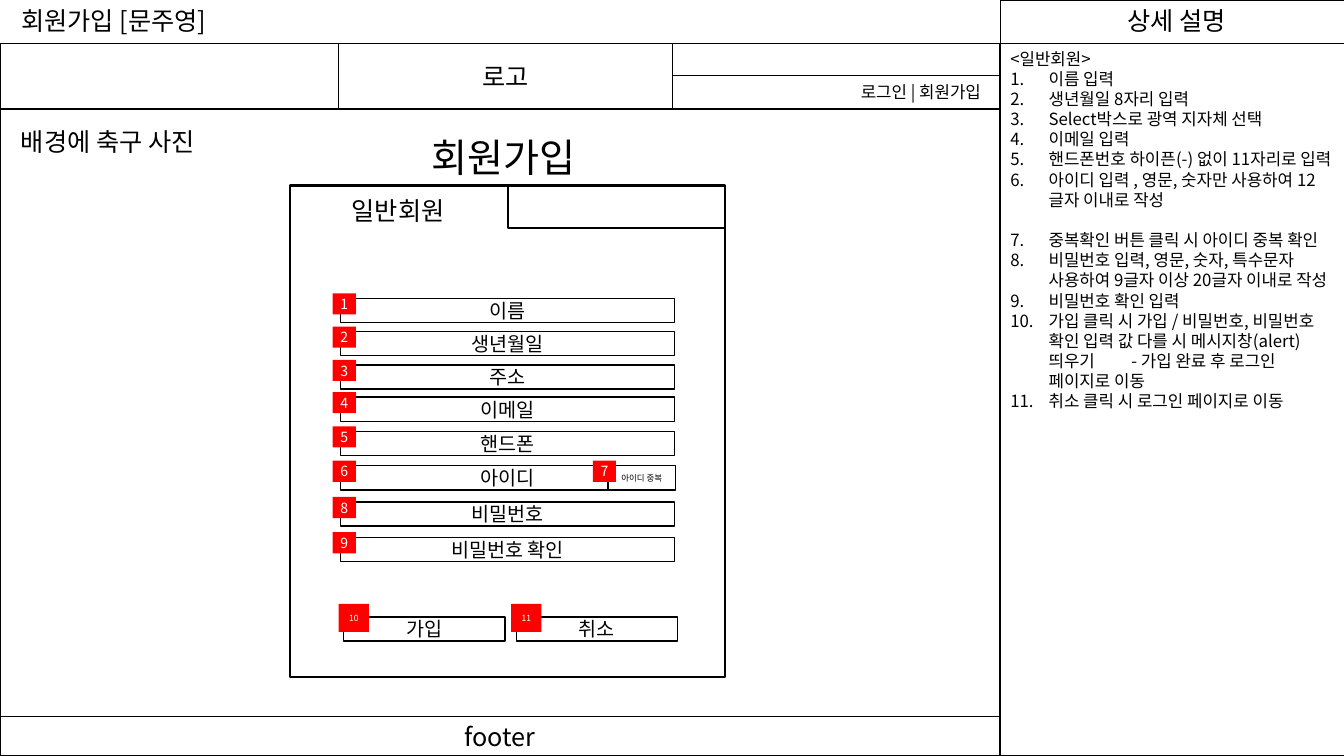
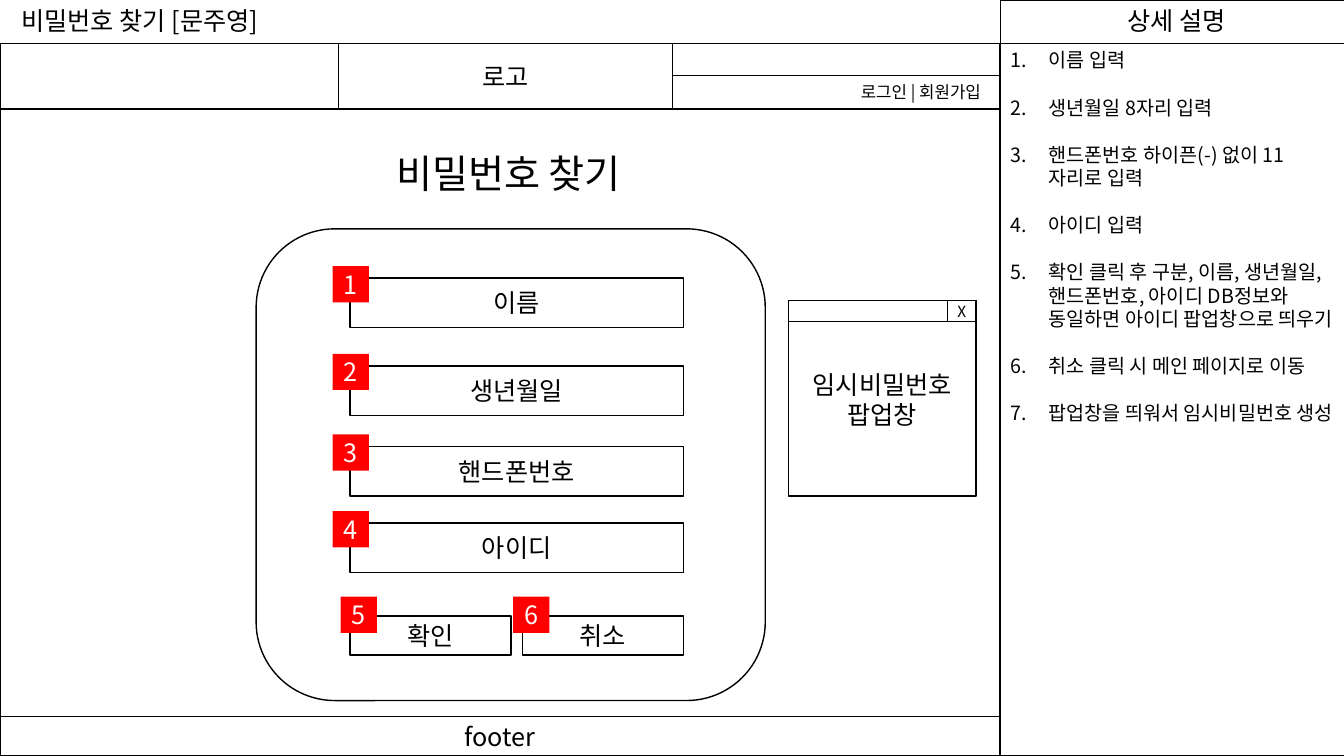
"""Build two annotated wireframe slides: sign-up and password recovery."""
from dataclasses import dataclass

from lxml.etree import SubElement
from pptx import Presentation
from pptx.dml.color import RGBColor
from pptx.enum.shapes import MSO_SHAPE
from pptx.enum.text import MSO_ANCHOR, MSO_AUTO_SIZE, PP_ALIGN
from pptx.oxml.ns import qn
from pptx.presentation import Presentation as Deck
from pptx.shapes.autoshape import Shape
from pptx.slide import Slide, SlideLayout
from pptx.util import Inches, Pt


@dataclass(frozen=True)
class Theme:
    """Colours, font and type sizes of the deck."""

    ink: RGBColor = RGBColor(0x00, 0x00, 0x00)
    paper: RGBColor = RGBColor(0xFF, 0xFF, 0xFF)
    badge: RGBColor = RGBColor(0xFF, 0x00, 0x00)
    font: str = "Noto Sans CJK KR"
    display: int = 28
    heading: int = 18
    field: int = 14
    note: int = 12
    close: int = 11
    badge_text: int = 10
    tiny: int = 6
    leading: float = 1.2


THEME = Theme()


@dataclass(frozen=True)
class Area:
    """A rectangle in inches."""

    left: float
    top: float
    width: float
    height: float


@dataclass(frozen=True)
class Control:
    """A labelled form control and its numbered badge."""

    label: str
    area: Area
    size: int
    number: str
    badge: Area
    badge_size: int


@dataclass(frozen=True)
class Note:
    """A line of the description list."""

    text: str
    numbered: bool = True
    gap_after: float = 0


PANEL = Area(9.92, 0.43, 3.42, 7.07)
FORM_WIDTH = 3.31
BUTTON_WIDTH = 1.6
BUTTON_STEP = 1.71

SIGN_UP_NOTES = [
    Note("<일반회원>", numbered=False),
    Note("이름 입력"),
    Note("생년월일 8자리 입력"),
    Note("Select박스로 광역 지자체 선택"),
    Note("이메일 입력"),
    Note("핸드폰번호 하이픈(-) 없이 11자리로 입력"),
    Note("아이디 입력 , 영문, 숫자만 사용하여 12글자 이내로 작성", gap_after=14.4),
    Note("중복확인 버튼 클릭 시 아이디 중복 확인"),
    Note("비밀번호 입력, 영문, 숫자, 특수문자 사용하여 9글자 이상 20글자 이내로 작성"),
    Note("비밀번호 확인 입력"),
    Note("가입 클릭 시 가입 / 비밀번호, 비밀번호 확인 입력 값 다를 시 메시지창(alert) "
         "띄우기\t- 가입 완료 후 로그인 페이지로 이동"),
    Note("취소 클릭 시 로그인 페이지로 이동"),
]
RECOVERY_NOTES = [
    Note(text, gap_after=16.8)
    for text in (
        "이름 입력",
        "생년월일 8자리 입력",
        "핸드폰번호 하이픈(-) 없이 11자리로 입력",
        "아이디 입력",
        "확인 클릭 후 구분, 이름, 생년월일, 핸드폰번호, 아이디 DB정보와 동일하면 아이디 팝업창으로 띄우기",
        "취소 클릭 시 메인 페이지로 이동",
        "팝업창을 띄워서 임시비밀번호 생성",
    )
]
SIGN_UP_FIELDS = [
    ("1", "이름", 2.96),
    ("2", "생년월일", 3.29),
    ("3", "주소", 3.62),
    ("4", "이메일", 3.94),
    ("5", "핸드폰", 4.28),
    ("6", "아이디", 4.62),
    ("8", "비밀번호", 4.98),
    ("9", "비밀번호 확인", 5.33),
]
RECOVERY_FIELDS = [
    ("1", "이름", 2.76),
    ("2", "생년월일", 3.63),
    ("3", "핸드폰번호", 4.43),
    ("4", "아이디", 5.19),
]


def place(shape: Shape, area: Area) -> None:
    """Move and size a shape."""
    shape.left, shape.top = Inches(area.left), Inches(area.top)
    shape.width, shape.height = Inches(area.width), Inches(area.height)


def write(shape: Shape, text: str, size: int, color: RGBColor = THEME.ink,
          align: PP_ALIGN = PP_ALIGN.LEFT) -> None:
    """Set the text of a shape and format its runs for Latin and Korean."""
    shape.text_frame.text = text
    for para in shape.text_frame.paragraphs:
        para.alignment = align
        for span in para.runs:
            span.font.size = Pt(size)
            span.font.color.rgb = color
            span.font.name = THEME.font
    for properties in shape.element.iter(qn("a:rPr")):
        SubElement(properties, qn("a:ea")).set("typeface", THEME.font)


def outline(shape: Shape, weight: float = 1) -> None:
    """Give a shape a white fill and a black line."""
    shape.shadow.inherit = False
    shape.fill.solid()
    shape.fill.fore_color.rgb = THEME.paper
    shape.line.color.rgb = THEME.ink
    shape.line.width = Pt(weight)


def add_box(page: Slide, area: Area, text: str = "", size: int = THEME.heading,
            weight: float = 1, align: PP_ALIGN = PP_ALIGN.CENTER,
            kind: MSO_SHAPE = MSO_SHAPE.RECTANGLE, inset: float = 0,
            color: RGBColor = THEME.ink) -> Shape:
    """Add an outlined box with optional text."""
    box = page.shapes.add_shape(kind, 0, 0, 0, 0)
    place(box, area)
    outline(box, weight)
    frame = box.text_frame
    frame.word_wrap = True
    frame.vertical_anchor = MSO_ANCHOR.MIDDLE
    frame.margin_left = frame.margin_right = Inches(inset)
    if text:
        write(box, text, size, color, align)
    return box


def add_label(page: Slide, area: Area, text: str, size: int = THEME.heading) -> Shape:
    """Add a single-line text box."""
    label = page.shapes.add_textbox(0, 0, 0, 0)
    place(label, area)
    label.text_frame.word_wrap = False
    write(label, text, size)
    return label


def add_badge(page: Slide, area: Area, number: str, size: int) -> None:
    """Add a red numbered badge."""
    badge = add_box(page, area, number, size, color=THEME.paper)
    badge.fill.fore_color.rgb = THEME.badge
    badge.line.fill.background()


def add_controls(page: Slide, controls: list[Control]) -> None:
    """Draw form controls first and their badges above them."""
    for control in controls:
        add_box(page, control.area, control.label, control.size)
    for control in controls:
        add_badge(page, control.badge, control.number, control.badge_size)


def fill_title(page: Slide, text: str, width: float) -> None:
    """Place the page name in the title placeholder."""
    title = page.shapes.title
    place(title, Area(0.11, 0, width, 0.4))
    title.text_frame.word_wrap = False
    title.text_frame.auto_size = MSO_AUTO_SIZE.NONE
    title.text_frame.vertical_anchor = MSO_ANCHOR.TOP
    write(title, text, THEME.heading)


def fill_notes(page: Slide, notes: list[Note], size: int, height: float) -> None:
    """Place the numbered description in the body placeholder."""
    body = page.placeholders[1]
    place(body, Area(PANEL.left, PANEL.top, 3.41, height))
    body.text_frame.word_wrap = True
    body.text_frame.auto_size = MSO_AUTO_SIZE.NONE
    write(body, "\n".join(note.text for note in notes), size)
    elements = body.element.iter(qn("a:p"))
    for note, para, element in zip(notes, body.text_frame.paragraphs, elements):
        para.line_spacing = Pt(size * THEME.leading)
        para.space_before = Pt(0)
        para.space_after = Pt(note.gap_after)
        properties = element.get_or_add_pPr()
        hanging = Inches(0.38) if note.numbered else 0
        properties.set("marL", str(hanging))
        properties.set("indent", str(-hanging))
        if note.numbered:
            SubElement(properties, qn("a:buFont")).set("typeface", "+mj-lt")
            SubElement(properties, qn("a:buAutoNum")).set("type", "arabicPeriod")
        else:
            SubElement(properties, qn("a:buNone"))
        if "\t" in note.text:
            stop = SubElement(SubElement(properties, qn("a:tabLst")), qn("a:tab"))
            stop.set("pos", str(Inches(1.2)))
            stop.set("algn", "l")


def share_panel(page: Slide, layout: SlideLayout) -> None:
    """Put the description panel on the layout used by every page."""
    for placeholder in list(layout.placeholders):
        if placeholder.placeholder_format.idx >= 10:
            layout.shapes.element.remove(placeholder.element)
    parts = [
        add_box(page, PANEL),
        add_box(page, Area(PANEL.left, 0, PANEL.width, PANEL.top)),
        add_label(page, Area(11.08, 0, 1.3, 0.4), "상세 설명"),
    ]
    for part in parts:
        layout.shapes.element.append(part.element)


def add_site_frame(page: Slide) -> None:
    """Draw the site header, content area and footer."""
    add_box(page, Area(0, 0.43, PANEL.left, 0.65))
    add_box(page, Area(3.36, 0.43, FORM_WIDTH, 0.65), "로고")
    add_box(page, Area(6.67, 0.75, 3.25, 0.33), "로그인 | 회원가입", THEME.note,
            align=PP_ALIGN.RIGHT, inset=0.19)
    add_box(page, Area(0, 7.11, PANEL.left, 0.39), "footer")
    add_box(page, Area(0, 1.08, PANEL.left, 6.03))


def draw_sign_up(page: Slide) -> None:
    """Draw the sign-up form."""
    add_label(page, Area(4.18, 1.27, 1.77, 0.57), "회원가입", THEME.display)
    add_label(page, Area(0.11, 1.2, 2.15, 0.4), "배경에 축구 사진")
    corners = [(2.88, 1.84), (5.07, 1.84), (5.07, 2.25),
               (7.19, 2.25), (7.19, 6.72), (2.88, 6.72)]
    points = [(Inches(x), Inches(y)) for x, y in corners]
    builder = page.shapes.build_freeform(*points[0], scale=1.0)
    builder.add_line_segments(points[1:], close=True)
    outline(builder.convert_to_shape(), 1.5)
    add_box(page, Area(5.04, 1.84, 2.15, 0.42), weight=1.5)
    add_label(page, Area(3.39, 1.89, 1.21, 0.4), "일반회원")
    controls = [
        Control(label, Area(3.38, top, FORM_WIDTH, 0.24), THEME.field,
                number, Area(3.3, top - 0.05, 0.23, 0.21), THEME.badge_text)
        for number, label, top in SIGN_UP_FIELDS
    ]
    controls.append(Control("아이디 중복", Area(6.03, 4.62, 0.67, 0.24), THEME.tiny,
                            "7", Area(5.88, 4.57, 0.23, 0.21), THEME.badge_text))
    for index, (number, label) in enumerate((("10", "가입"), ("11", "취소"))):
        left = 3.41 + index * BUTTON_STEP
        controls.append(Control(label, Area(left, 6.12, BUTTON_WIDTH, 0.24), THEME.field,
                                number, Area(left - 0.05, 5.99, 0.3, 0.28), THEME.tiny))
    add_controls(page, controls)


def draw_recovery(page: Slide) -> None:
    """Draw the password recovery form and its popup."""
    add_box(page, Area(2.54, 2.27, 5.05, 4.68), kind=MSO_SHAPE.ROUNDED_RECTANGLE)
    add_label(page, Area(3.83, 1.43, 2.7, 0.57), "비밀번호 찾기", THEME.display)
    controls = [
        Control(label, Area(3.47, top, FORM_WIDTH, 0.49), THEME.heading,
                number, Area(3.3, top - 0.12, 0.36, 0.36), THEME.heading)
        for number, label, top in RECOVERY_FIELDS
    ]
    for index, (number, label) in enumerate((("5", "확인"), ("6", "취소"))):
        left = 3.47 + index * BUTTON_STEP
        controls.append(Control(label, Area(left, 6.11, BUTTON_WIDTH, 0.39), THEME.heading,
                                number, Area(left - 0.09, 5.92, 0.36, 0.36), THEME.heading))
    add_controls(page, controls)
    add_box(page, Area(7.82, 3, 1.86, 1.92), "임시비밀번호\n팝업창")
    add_box(page, Area(7.82, 2.98, 1.86, 0.21))
    add_box(page, Area(9.4, 2.98, 0.28, 0.21), "X", THEME.close)


def main() -> None:
    """Build and save the deck."""
    deck: Deck = Presentation()
    deck.slide_width, deck.slide_height = Inches(13.33), Inches(7.5)
    layout = deck.slide_layouts[1]
    sign_up, recovery = (deck.slides.add_slide(layout) for _ in range(2))
    share_panel(sign_up, layout)
    for page in (sign_up, recovery):
        add_site_frame(page)
    fill_title(sign_up, "회원가입 [문주영]", 2.29)
    fill_notes(sign_up, SIGN_UP_NOTES, THEME.note, 4.34)
    draw_sign_up(sign_up)
    fill_title(recovery, "비밀번호 찾기 [문주영]", 2.81)
    fill_notes(recovery, RECOVERY_NOTES, THEME.field, 5.28)
    draw_recovery(recovery)
    deck.save("out.pptx")


if __name__ == "__main__":
    main()
